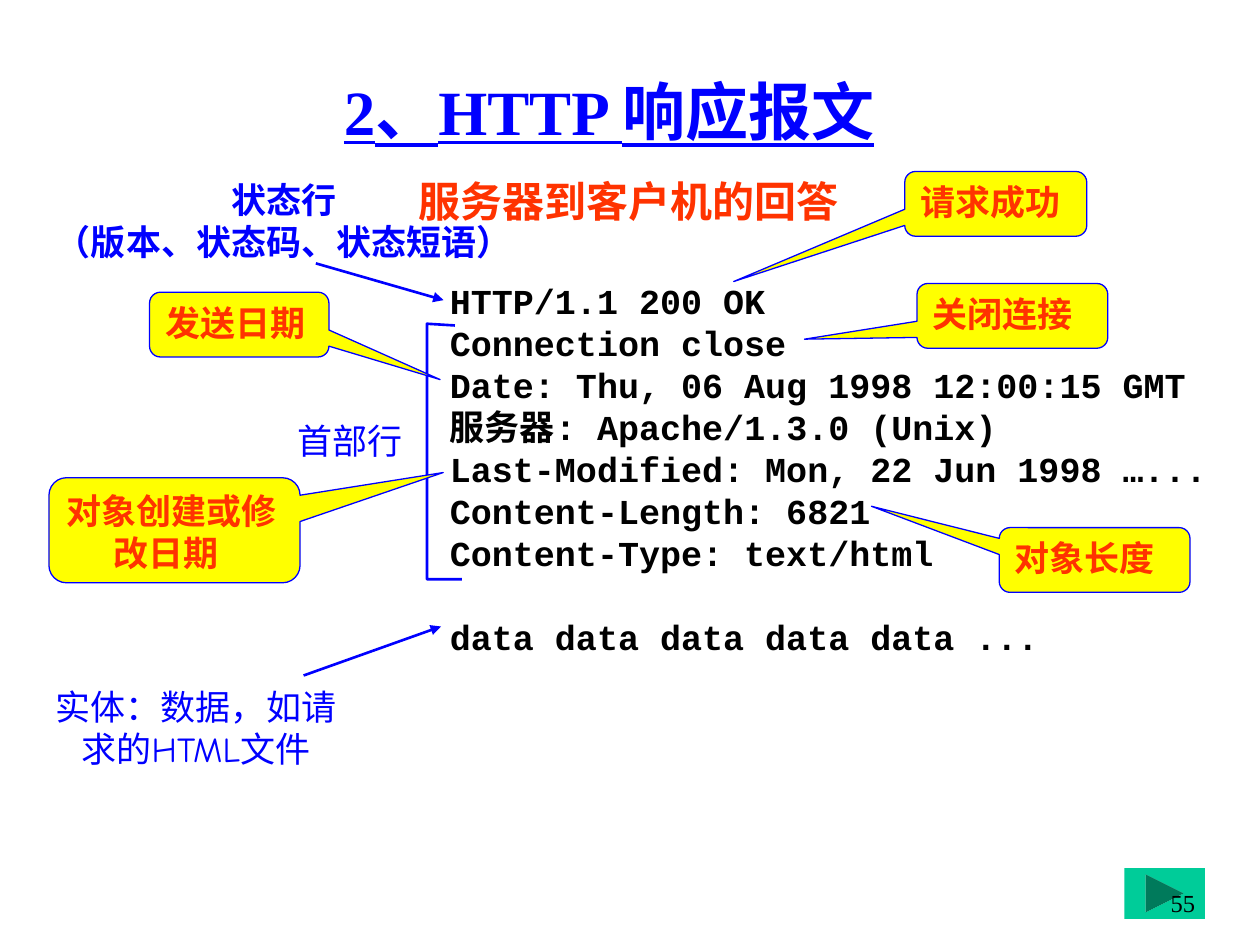
from dataclasses import dataclass

from lxml import etree
from pptx import Presentation
from pptx import util as u
from pptx.dml.color import RGBColor
from pptx.enum import shapes, text
from pptx.oxml.ns import qn

Pt = u.Pt
LEFT, CENTER, RIGHT = text.PP_ALIGN.LEFT, text.PP_ALIGN.CENTER, text.PP_ALIGN.RIGHT


@dataclass(frozen=True)
class Theme:
    blue: str = "0000FF"
    red: str = "FF3300"
    yellow: str = "FFFF00"
    green: str = "00CC99"
    black: str = "000000"
    title: int = 36
    subtitle: int = 24
    body: int = 20
    number: int = 14
    serif: str = "Times New Roman"
    mono: str = "Courier New"
    casual: str = "Comic Neue"
    chinese: str = "Noto Sans CJK SC"
    rule: float = 1.5
    outline: float = 0.75


THEME = Theme()


def write(frame, content, *, size=THEME.body, font=THEME.serif, color=THEME.blue,
          bold=False, underline=False, align=LEFT, wrap=True,
          anchor=text.MSO_ANCHOR.TOP, hanging=0):
    """Fill a text frame, one paragraph for each line of content."""
    frame.word_wrap = wrap
    frame.vertical_anchor = anchor
    for index, line in enumerate(content.split("\n")):
        paragraph = frame.paragraphs[0] if index == 0 else frame.add_paragraph()
        paragraph.alignment = align
        if hanging:
            properties = paragraph._p.get_or_add_pPr()
            properties.set("marL", str(Pt(hanging)))
            properties.set("indent", str(-Pt(hanging)))
        run = paragraph.add_run()
        run.text = line
        run.font.size = Pt(size)
        run.font.name = font
        run.font.bold = bold
        run.font.underline = underline
        run.font.color.rgb = RGBColor.from_string(color)
        latin = run._r.rPr.find(qn("a:latin"))
        east_asian = etree.Element(qn("a:ea"), typeface=THEME.chinese)
        latin.addnext(east_asian)


class SlideBuilder:
    def __init__(self, slide, theme):
        self.slide = slide
        self.theme = theme

    def stroke(self, shape, width):
        shape.line.color.rgb = RGBColor.from_string(self.theme.blue)
        shape.line.width = Pt(width)

    def fill(self, shape, color):
        shape.shadow.inherit = False
        shape.fill.solid()
        shape.fill.fore_color.rgb = RGBColor.from_string(color)

    def label(self, box, content, **style):
        shape = self.slide.shapes.add_textbox(*map(Pt, box))
        write(shape.text_frame, content, **style)
        return shape

    def callout(self, box, tip, content):
        """Add a speech bubble; tip is its offset from the centre, in box sizes."""
        shape = self.slide.shapes.add_shape(
            shapes.MSO_SHAPE.ROUNDED_RECTANGULAR_CALLOUT, *map(Pt, box))
        shape.adjustments[0], shape.adjustments[1] = tip
        self.fill(shape, self.theme.yellow)
        self.stroke(shape, self.theme.outline)
        write(shape.text_frame, content, color=self.theme.red, bold=True, hanging=27)

    def arrow(self, start, end):
        connector = self.slide.shapes.add_connector(
            shapes.MSO_CONNECTOR.STRAIGHT, *map(Pt, start + end))
        self.stroke(connector, self.theme.rule)
        etree.SubElement(connector.line._get_or_add_ln(), qn("a:tailEnd"), type="triangle")
        etree.SubElement(connector._element.spPr, qn("a:effectLst"))

    def bracket(self, start, *points):
        builder = self.slide.shapes.build_freeform(*start, scale=Pt(1))
        builder.add_line_segments(points, close=False)
        shape = builder.convert_to_shape()
        shape.shadow.inherit = False
        shape.fill.background()
        self.stroke(shape, self.theme.rule)

    def next_button(self, box):
        shape = self.slide.shapes.add_shape(
            shapes.MSO_SHAPE.ACTION_BUTTON_FORWARD_OR_NEXT, *map(Pt, box))
        self.fill(shape, self.theme.green)
        shape.line.fill.background()


RESPONSE = """HTTP/1.1 200 OK
Connection close
Date: Thu, 06 Aug 1998 12:00:15 GMT
服务器: Apache/1.3.0 (Unix)
Last-Modified: Mon, 22 Jun 1998 …...
Content-Length: 6821
Content-Type: text/html
data data data data data ..."""

CALLOUTS = [
    ((517, 98, 104, 37), (-1.44, 1.2), "请求成功"),
    ((524, 162, 109, 37), (-1.09, 0.36), "关闭连接"),
    ((85.5, 167, 102.5, 37), (1.12, 0.85), "发送日期"),
    ((28, 273, 143.5, 60), (1.07, -0.55), "对象创建或修改日期"),
    ((571, 301.5, 109, 37), (-1.17, -0.83), "对象长度"),
]


def main():
    presentation = Presentation()
    presentation.slide_width, presentation.slide_height = Pt(720), Pt(540)
    slide = presentation.slides.add_slide(presentation.slide_layouts[6])
    builder = SlideBuilder(slide, THEME)

    builder.label((42, 18, 612, 90), "2、HTTP 响应报文", size=THEME.title, bold=True,
                  underline=True, align=CENTER, anchor=text.MSO_ANCHOR.MIDDLE)
    response = builder.label((250, 156, 459, 223), RESPONSE, font=THEME.mono,
                             color=THEME.black, bold=True, wrap=False)
    response.text_frame.paragraphs[-1].space_before = Pt(24)

    builder.label((15, 98.5, 294.5, 55.5), "状态行\n（版本、状态码、状态短语）",
                  font=THEME.casual, bold=True, align=CENTER)
    builder.arrow((180.5, 150.5), (253.5, 171.5))
    builder.bracket((260, 185.5), (244, 185), (244, 331), (264, 331))
    builder.label((162.5, 236, 74.5, 32), "首部行", font=THEME.casual,
                  align=RIGHT, wrap=False)
    builder.arrow((173.5, 386), (252, 358))
    builder.label((23, 388, 178, 55.5), "实体：数据，如请求的HTML文件",
                  font=THEME.casual, align=CENTER)

    for box, tip, content in CALLOUTS:
        builder.callout(box, tip, content)

    builder.next_button((642.5, 496, 46, 29))
    builder.label((160, 97, 398, 36), "服务器到客户机的回答", size=THEME.subtitle,
                  font=THEME.chinese, color=THEME.red, bold=True, align=CENTER, hanging=27)
    builder.label((654, 504, 36, 36), "55", size=THEME.number, color=THEME.black, align=RIGHT)
    presentation.save("out.pptx")


if __name__ == "__main__":
    main()
